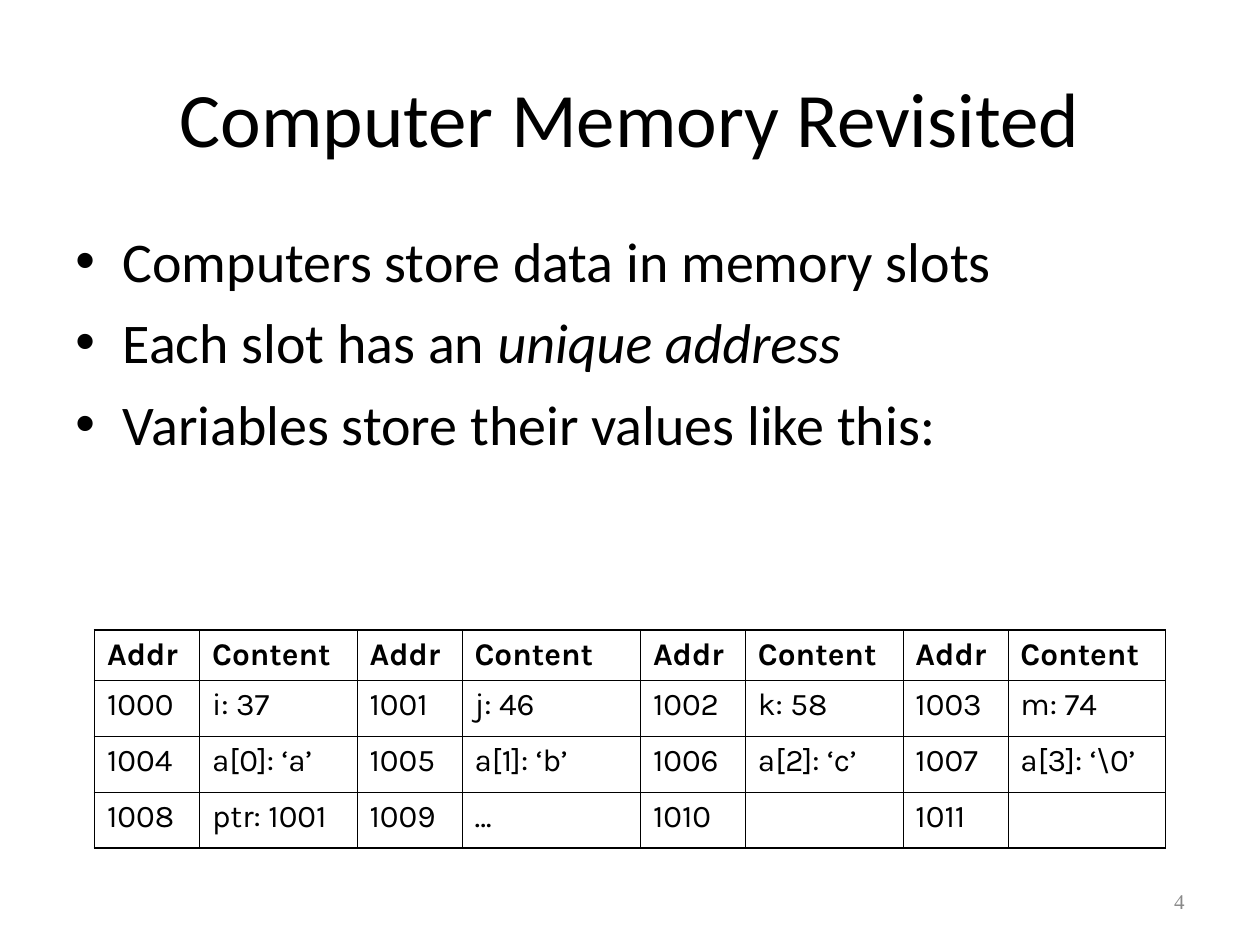
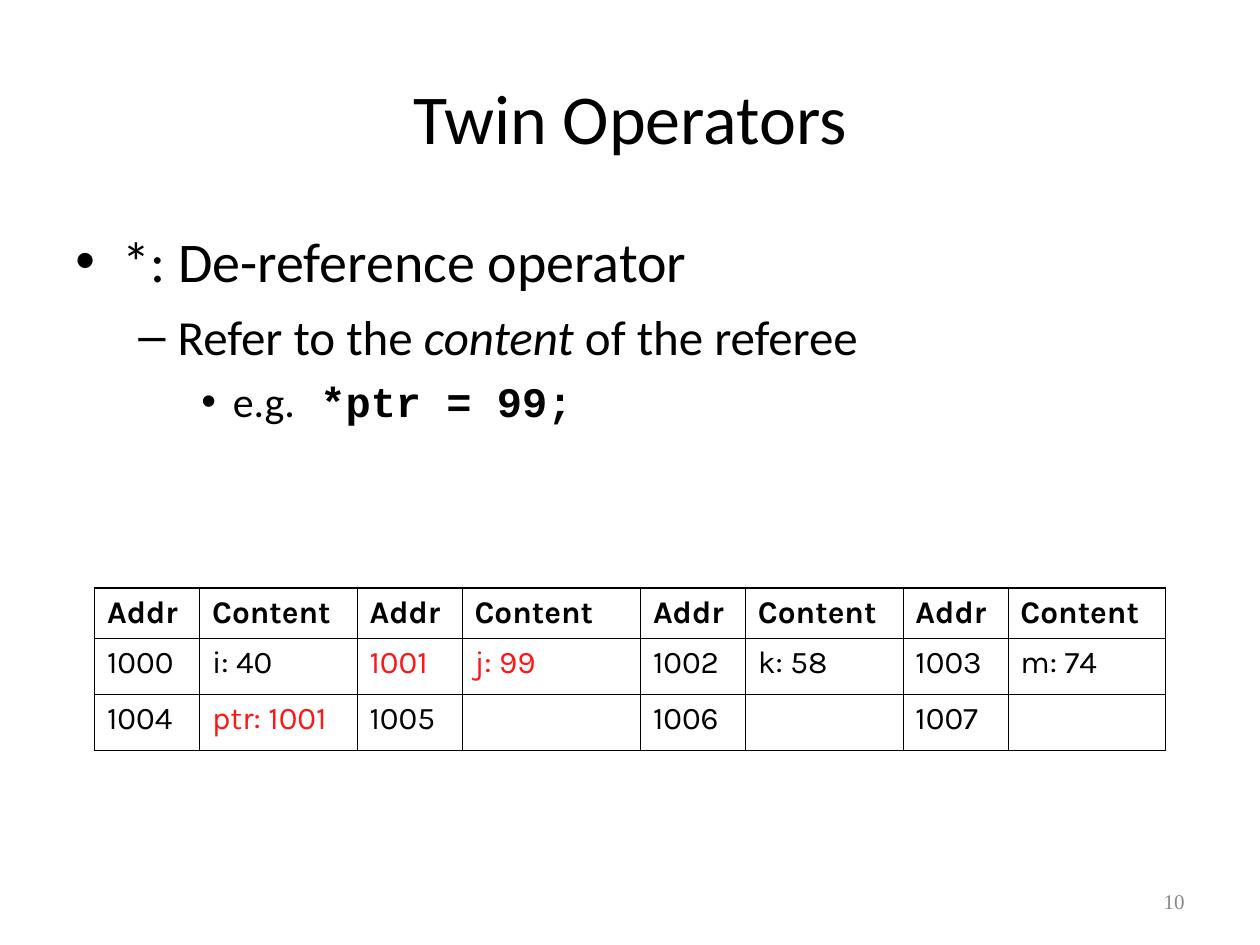
from dataclasses import dataclass

from lxml import etree
from pptx import Presentation
from pptx.dml.color import RGBColor
from pptx.enum.text import MSO_ANCHOR, MSO_AUTO_SIZE, PP_ALIGN
from pptx.oxml.ns import qn
from pptx.util import Pt

CENTER, RIGHT = PP_ALIGN.CENTER, PP_ALIGN.RIGHT
MIDDLE = MSO_ANCHOR.MIDDLE
NO_AUTOFIT = MSO_AUTO_SIZE.NONE
TITLE_ONLY = 5

COLORS = {"text": "000000", "highlight": "FF1717", "number": "898989"}
BODY_FONT, TABLE_FONT = "Calibri", "Karla"
CODE_FONT, NUMBER_FONT = "Courier New", "Times New Roman"

COLUMN_WIDTHS = (60, 90, 60, 102, 60, 90, 60, 90)
HEADER = ("Addr", "Content") * 4
HEADER_HEIGHT, ROW_HEIGHT = 28.8, 32
THIN, THICK = 0.45, 1.08


@dataclass(frozen=True)
class Level:
    bullet: str
    left: float
    hanging: float
    size: float
    space_before: float


LEVELS = (
    Level("•", 27, 27, 32, 8),
    Level("–", 58.5, 22.5, 28, 7),
    Level("•", 90, 18, 24, 6),
)


@dataclass(frozen=True)
class Span:
    text: str
    italic: bool = False
    bold: bool = False
    font: str = BODY_FONT


@dataclass(frozen=True)
class Bullet:
    spans: tuple[Span, ...]
    level: int = 0


@dataclass(frozen=True)
class MemorySlide:
    title: str
    title_size: float
    number: str
    bullets: tuple[Bullet, ...]
    table_top: float
    first_address: int
    contents: tuple[tuple[str, ...], ...]
    highlights: tuple[str, ...] = ()


SLIDES = (
    MemorySlide(
        "Computer Memory Revisited", 44, "4",
        (
            Bullet((Span("Computers store data in memory slots"),)),
            Bullet((Span("Each slot has an "), Span("unique address", italic=True))),
            Bullet((Span("Variables store their values like this:"),)),
        ),
        360, 1000,
        (
            ("i: 37", "j: 46", "k: 58", "m: 74"),
            ("a[0]: ‘a’", "a[1]: ‘b’", "a[2]: ‘c’", "a[3]: ‘\\0’"),
            ("ptr: 1001", "…", "", ""),
        ),
    ),
    MemorySlide(
        "Twin Operators", 40, "10",
        (
            Bullet((Span("*: De-reference operator"),)),
            Bullet((Span("Refer to the "), Span("content", italic=True),
                    Span(" of the referee")), 1),
            Bullet((Span("e.g."), Span(" *ptr = 99;", bold=True, font=CODE_FONT)), 2),
        ),
        336, 1000,
        (
            ("i: 40", "j: 99", "k: 58", "m: 74"),
            ("ptr: 1001", "", "", ""),
        ),
        ("1001", "j: 99", "ptr: 1001"),
    ),
)


def style(font, name: str, size: float, color: str = "text", bold: bool = False) -> None:
    font.name, font.size, font.bold = name, Pt(size), bold
    font.color.rgb = RGBColor.from_string(COLORS[color])


def add_title(slide, text: str, size: float) -> None:
    sp = slide.shapes.title
    sp.left, sp.top, sp.width, sp.height = Pt(36), Pt(21.6), Pt(648), Pt(90)
    tf = sp.text_frame
    tf.text = text
    tf.auto_size, tf.vertical_anchor = NO_AUTOFIT, MIDDLE
    p = tf.paragraphs[0]
    p.alignment = CENTER
    style(p.runs[0].font, BODY_FONT, size)


def set_bullet(p, level: Level) -> None:
    pPr = p._p.get_or_add_pPr()
    pPr.set("marL", str(Pt(level.left)))
    pPr.set("indent", str(-Pt(level.hanging)))
    color = etree.SubElement(pPr, qn("a:buClr"))
    etree.SubElement(color, qn("a:srgbClr"), val=COLORS["text"])
    etree.SubElement(pPr, qn("a:buFont"), typeface="Arial")
    etree.SubElement(pPr, qn("a:buChar"), char=level.bullet)


def add_bullets(slide, bullets: tuple[Bullet, ...]) -> None:
    tf = slide.shapes.add_textbox(Pt(36), Pt(126), Pt(648), Pt(356.4)).text_frame
    tf.word_wrap = True
    for i, bullet in enumerate(bullets):
        p = tf.add_paragraph() if i else tf.paragraphs[0]
        level = LEVELS[bullet.level]
        p.level = bullet.level
        set_bullet(p, level)
        if i:
            p.space_before = Pt(level.space_before)
        for span in bullet.spans:
            r = p.add_run()
            r.text = span.text
            style(r.font, span.font, level.size, bold=span.bold)
            r.font.italic = span.italic


def add_number(slide, number: str) -> None:
    tf = slide.shapes.add_textbox(Pt(516), Pt(500.4), Pt(168), Pt(28.8)).text_frame
    tf.word_wrap, tf.vertical_anchor = True, MIDDLE
    tf.text = number
    p = tf.paragraphs[0]
    p.alignment = RIGHT
    style(p.runs[0].font, NUMBER_FONT, 12, "number")


def set_borders(cell, widths: dict[str, float]) -> None:
    tcPr = cell._tc.get_or_add_tcPr()
    for i, (side, width) in enumerate(widths.items()):
        ln = etree.Element(qn(f"a:ln{side}"), w=str(Pt(width)))
        fill = etree.SubElement(ln, qn("a:solidFill"))
        etree.SubElement(fill, qn("a:srgbClr"), val=COLORS["text"])
        tcPr.insert(i, ln)


def memory_rows(spec: MemorySlide) -> list[list[str]]:
    """Pair every content with its address, counting on from the first one."""
    rows = [list(HEADER)]
    address = spec.first_address
    for contents in spec.contents:
        row = []
        for content in contents:
            row += [str(address), content]
            address += 1
        rows.append(row)
    return rows


def add_memory_table(slide, spec: MemorySlide) -> None:
    rows = memory_rows(spec)
    last_row, last_col = len(rows) - 1, len(HEADER) - 1
    table = slide.shapes.add_table(
        len(rows), len(HEADER), Pt(54), Pt(spec.table_top),
        Pt(sum(COLUMN_WIDTHS)), Pt(HEADER_HEIGHT + last_row * ROW_HEIGHT)).table
    table.first_row = table.horz_banding = False
    for column, width in zip(table.columns, COLUMN_WIDTHS):
        column.width = Pt(width)
    for i, row in enumerate(rows):
        table.rows[i].height = Pt(ROW_HEIGHT if i else HEADER_HEIGHT)
        for j, text in enumerate(row):
            cell = table.cell(i, j)
            cell.fill.background()
            set_borders(cell, {
                "L": THICK if j == 0 else THIN,
                "R": THICK if j == last_col else THIN,
                "T": THICK if i <= 1 else THIN,
                "B": THICK if i in (0, last_row) else THIN,
            })
            if text:
                cell.text_frame.text = text
                color = "highlight" if text in spec.highlights else "text"
                r = cell.text_frame.paragraphs[0].runs[0]
                style(r.font, TABLE_FONT, 18, color, bold=i == 0)


def main() -> None:
    prs = Presentation()
    prs.slide_width, prs.slide_height = Pt(720), Pt(540)
    for spec in SLIDES:
        slide = prs.slides.add_slide(prs.slide_layouts[TITLE_ONLY])
        add_title(slide, spec.title, spec.title_size)
        add_bullets(slide, spec.bullets)
        add_number(slide, spec.number)
        add_memory_table(slide, spec)
    prs.save("out.pptx")


if __name__ == "__main__":
    main()
